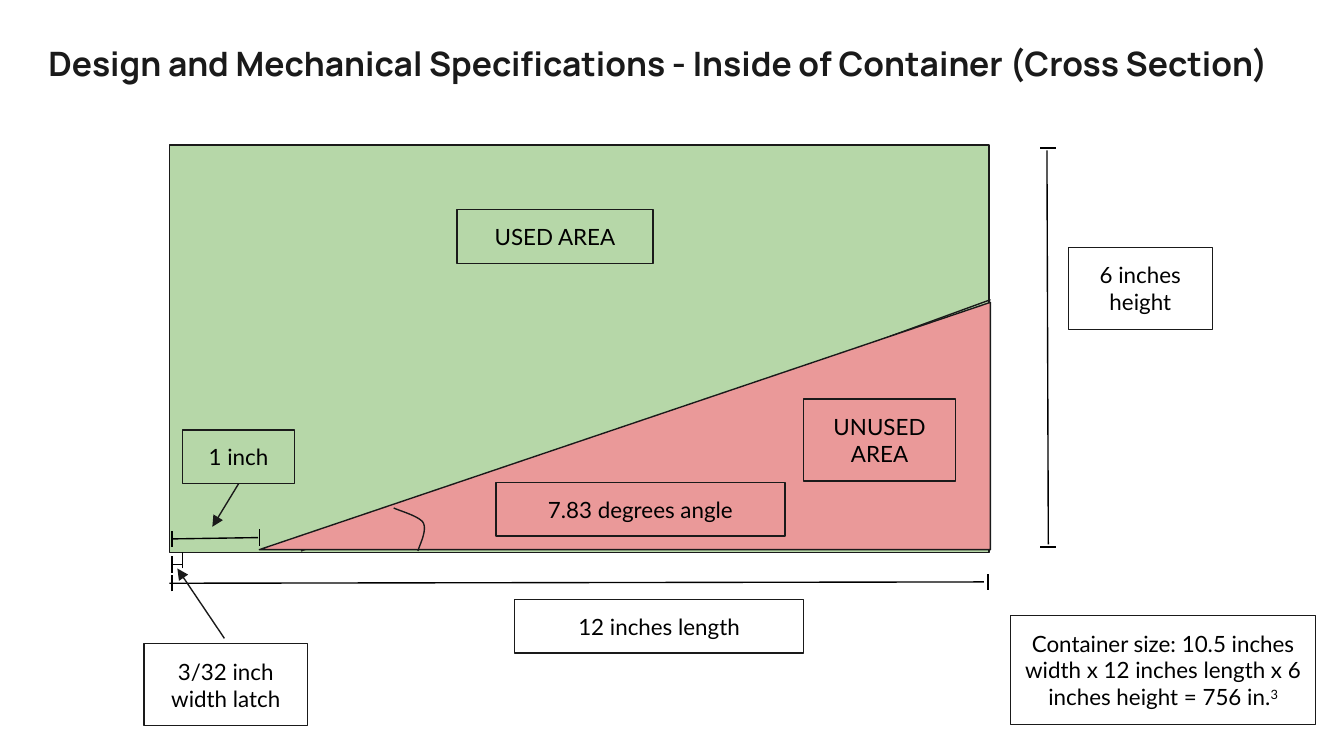
from dataclasses import dataclass

from lxml import etree
from pptx import Presentation
from pptx.dml.color import RGBColor
from pptx.enum.shapes import MSO_CONNECTOR, MSO_SHAPE
from pptx.enum.text import MSO_ANCHOR, MSO_AUTO_SIZE, PP_ALIGN
from pptx.oxml.ns import qn
from pptx.util import Inches, Pt

RECT = MSO_SHAPE.RECTANGLE
WEDGE = MSO_SHAPE.RIGHT_TRIANGLE
STRAIGHT = MSO_CONNECTOR.STRAIGHT
TOP, MIDDLE = MSO_ANCHOR.TOP, MSO_ANCHOR.MIDDLE
LEFT, CENTER = PP_ALIGN.LEFT, PP_ALIGN.CENTER
FIXED, GROW = MSO_AUTO_SIZE.NONE, MSO_AUTO_SIZE.SHAPE_TO_FIT_TEXT
BOTTOM_SIDE = 2
TITLE_ONLY = 5
TICK = 0.06
WIDTH = Inches(10)
HEIGHT = WIDTH * 9 // 16


@dataclass(frozen=True)
class Theme:
    ink: RGBColor = RGBColor(0x1A, 0x1A, 0x1A)
    black: RGBColor = RGBColor(0, 0, 0)
    used: RGBColor = RGBColor(0xB6, 0xD7, 0xA8)
    unused: RGBColor = RGBColor(0xEA, 0x99, 0x99)
    head: str = "Manrope"
    body: str = "Lato"
    big: Pt = Pt(18)
    small: Pt = Pt(12)
    stroke: Pt = Pt(0.75)


THEME = Theme()
INSET = {f"margin_{side}": Inches(0.1)
         for side in ("left", "top", "right", "bottom")}
TITLE_FRAME = {**INSET, "word_wrap": True, "vertical_anchor": TOP,
               "auto_size": FIXED}
LABEL_FRAME = {**INSET, "word_wrap": True, "vertical_anchor": MIDDLE,
               "auto_size": GROW}
TITLE_FONT = {"name": THEME.head, "size": THEME.big, "bold": True}
LABEL_FONT = {"name": THEME.body, "size": THEME.small}


def apply(target, values):
    for name, value in values.items():
        setattr(target, name, value)


def lengths(values):
    return [Inches(value) for value in values]


def ink_line(shape, color):
    shape.line.color.rgb = color
    shape.line.width = THEME.stroke


def add_title(slide, text, box):
    title = slide.shapes.title
    apply(title, dict(zip(("left", "top", "width", "height"), lengths(box))))
    frame = title.text_frame
    apply(frame, TITLE_FRAME)
    para = frame.paragraphs[0]
    para.text = text
    para.alignment = LEFT
    apply(para.font, TITLE_FONT)
    para.font.color.rgb = THEME.ink


def add_area(slide, kind, box, fill=None):
    shape = slide.shapes.add_shape(kind, *lengths(box))
    shape.shadow.inherit = False
    if fill is None:
        shape.fill.background()
    else:
        shape.fill.solid()
        shape.fill.fore_color.rgb = fill
    ink_line(shape, THEME.ink)
    return shape


def add_label(slide, text, box, power=""):
    shape = add_area(slide, RECT, box)
    frame = shape.text_frame
    apply(frame, LABEL_FRAME)
    para = frame.paragraphs[0]
    para.alignment = CENTER
    apply(para.font, LABEL_FONT)
    para.font.color.rgb = THEME.black
    para.add_run().text = text
    if power:
        run = para.add_run()
        run.text = power
        run.font._element.set("baseline", "30000")
    return shape


def add_line(slide, start, end, color=THEME.black):
    line = slide.shapes.add_connector(STRAIGHT, *lengths(start + end))
    ink_line(line, color)
    etree.SubElement(line.element.spPr, qn("a:effectLst"))
    return line


def add_arrow(slide, start, end):
    arrow = add_line(slide, start, end, THEME.ink)
    stroke = arrow.line._get_or_add_ln()
    etree.SubElement(stroke, qn("a:tailEnd"), type="triangle")
    return arrow


def add_gauge(slide, start, end, ticks, upright=False):
    add_line(slide, start, end)
    dx, dy = (TICK, 0) if upright else (0, TICK)
    for x, y in ticks:
        add_line(slide, (x - dx, y + dy), (x + dx, y - dy))


def bezier(points, steps=16):
    for step in range(1, steps + 1):
        t = step / steps
        weights = ((1 - t) ** 3, 3 * t * (1 - t) ** 2,
                   3 * t ** 2 * (1 - t), t ** 3)
        yield tuple(Inches(sum(w * p[axis] for w, p in zip(weights, points)))
                    for axis in (0, 1))


def add_arc(slide, knots):
    pen = slide.shapes.build_freeform(*lengths(knots[0]))
    for first in range(0, len(knots) - 1, 3):
        pen.add_line_segments(bezier(knots[first:first + 4]), close=False)
    arc = pen.convert_to_shape()
    arc.shadow.inherit = False
    arc.fill.background()
    ink_line(arc, THEME.ink)


def main():
    deck = Presentation()
    deck.slide_width, deck.slide_height = WIDTH, HEIGHT
    slide = deck.slides.add_slide(deck.slide_layouts[TITLE_ONLY])
    add_title(slide, "Design and Mechanical Specifications - "
              "Inside of Container (Cross Section)", (0.26, 0.22, 9.7, 0.59))

    add_area(slide, RECT, (1.26, 1.08, 6.1, 3.03), THEME.used)
    add_line(slide, (2.24, 4.1), (7.37, 2.23), THEME.ink)
    add_label(slide, "USED AREA", (3.4, 1.56, 1.46, 0.4))

    add_gauge(slide, (1.26, 4.34), (7.32, 4.33), [(7.35, 4.33), (1.28, 4.34)])
    add_label(slide, "12 inches length", (3.83, 4.46, 2.15, 0.4))
    add_gauge(slide, (7.79, 1.12), (7.8, 4.05), [(7.8, 4.07), (7.8, 1.1)],
              upright=True)
    add_label(slide, "6 inches height", (7.95, 1.84, 1.07, 0.61))

    wedge = add_area(slide, WEDGE, (1.93, 2.25, 5.44, 1.84), THEME.unused)
    wedge.element.spPr.xfrm.set("flipH", "1")
    add_label(slide, "UNUSED AREA", (5.98, 2.97, 1.13, 0.61))
    add_label(slide, "7.83 degrees angle", (3.69, 3.59, 2.15, 0.4))
    add_arc(slide, [(2.93, 3.78), (2.97, 3.8), (3.12, 3.84), (3.15, 3.89),
                    (3.18, 3.95), (3.12, 4.06), (3.11, 4.1)])

    add_gauge(slide, (1.28, 4.01), (1.92, 4), [(1.93, 4), (1.28, 4.01)])
    inch = add_label(slide, "1 inch", (1.36, 3.2, 0.83, 0.4))
    arrow = add_arrow(slide, (1.77, 3.6), (1.58, 3.92))
    arrow.begin_connect(inch, BOTTOM_SIDE)

    add_arrow(slide, (1.67, 4.75), (1.32, 4.23))
    add_gauge(slide, (1.28, 4.2), (1.36, 4.2), [(1.36, 4.17), (1.28, 4.2)])
    add_label(slide, "3/32 inch width latch", (1.07, 4.79, 1.22, 0.61))
    add_label(slide, "Container size: 10.5 inches width x 12 inches length "
              "x 6 inches height = 756 in.", (7.52, 4.58, 2.27, 0.81), "3")
    deck.save("out.pptx")


if __name__ == "__main__":
    main()
